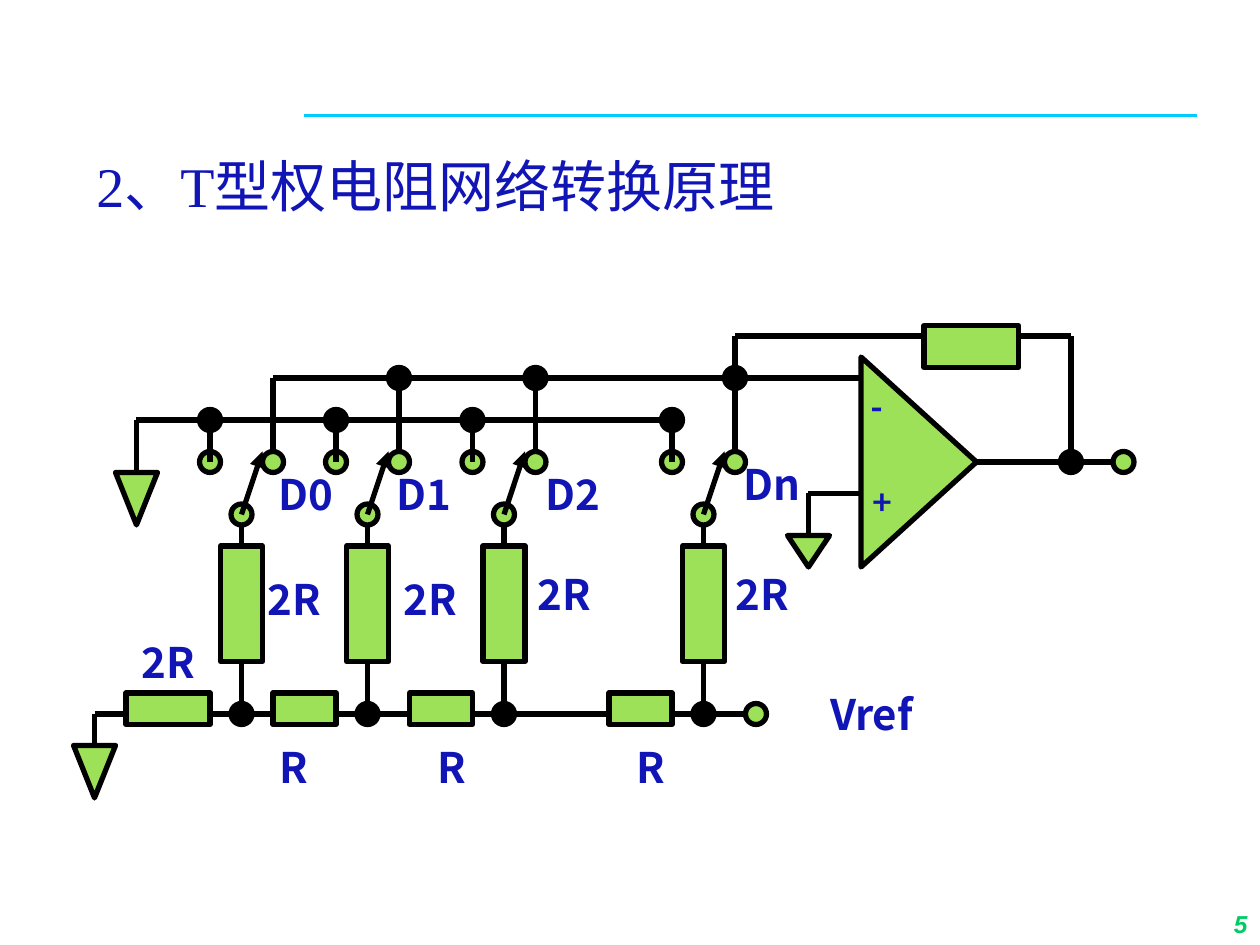
from dataclasses import dataclass

from lxml import etree
from pptx import Presentation
from pptx.dml.color import RGBColor
from pptx.enum.shapes import MSO_CONNECTOR, MSO_SHAPE
from pptx.enum.text import MSO_ANCHOR, PP_ALIGN
from pptx.oxml.ns import qn
from pptx.util import Pt

STRAIGHT = MSO_CONNECTOR.STRAIGHT
RECTANGLE = MSO_SHAPE.RECTANGLE
CIRCLE = MSO_SHAPE.FLOWCHART_CONNECTOR
GROUND = MSO_SHAPE.FLOWCHART_MERGE
AMPLIFIER = MSO_SHAPE.FLOWCHART_EXTRACT
MIDDLE, BOTTOM = MSO_ANCHOR.MIDDLE, MSO_ANCHOR.BOTTOM
LEFT, CENTER, RIGHT = PP_ALIGN.LEFT, PP_ALIGN.CENTER, PP_ALIGN.RIGHT

BLACK, GREEN, NAVY = "000000", "9CE157", "1115B5"
CYAN, PAGE_GREEN = "00CCFF", "00CC66"
CJK_FONT = "Noto Sans CJK SC"

SUM_RAIL, GROUND_RAIL, CONTACT_Y, POLE_Y, LADDER_Y = 216, 240, 264, 294, 408
CONTACT_DX, TERMINAL_RADIUS = 18, 6
BRANCH_TOP, BRANCH_BOTTOM = 312, 378
FEEDBACK_Y, OUTPUT_X = 192, 612

LABEL = {"size": Pt(24), "name": CJK_FONT, "bold": True}
SIGN = {"size": Pt(20), "name": "Lato", "bold": True}
TITLE = {"size": Pt(32), "name": "Times New Roman"}
PAGE = {"size": Pt(14), "name": "Arial", "bold": True, "italic": True}


@dataclass(frozen=True)
class Stage:
    x: float
    bit: str
    bit_left: float
    bit_top: float
    value_left: float
    value_top: float


@dataclass(frozen=True)
class Label:
    text: str
    left: float
    top: float
    width: float = 60
    height: float = 36


STAGES = [
    Stage(138, "D0", 144.7, 264.2, 138, 324),
    Stage(210, "D1", 212.4, 264.2, 216, 324),
    Stage(288, "D2", 297.4, 264.2, 292.3, 321),
    Stage(402, "Dn", 411.1, 258.5, 405.4, 321),
]
LADDER_RESISTORS = [(72, 48), (156, 36), (234, 36), (348, 36)]
LADDER_WIRES = [(54, 72), (120, 156), (192, 234), (270, 348), (384, 426)]
GROUNDS = [(78, GROUND_RAIL, 270, 270, 30),
           (54, LADDER_Y, 432, 426, 30),
           (462, 282, 306, 306, 18)]
CIRCUIT_WIRES = [
    (156, SUM_RAIL, 492, SUM_RAIL),
    (78, GROUND_RAIL, 384, GROUND_RAIL),
    (462, 282, 492, 282),
    (558, CONTACT_Y, 636, CONTACT_Y),
    (420, FEEDBACK_Y, 420, SUM_RAIL),
    (420, FEEDBACK_Y, 528, FEEDBACK_Y),
    (582, FEEDBACK_Y, OUTPUT_X, FEEDBACK_Y),
    (OUTPUT_X, FEEDBACK_Y, OUTPUT_X, CONTACT_Y),
]
LABELS = [
    Label("Vref", 462, 390, 72),
    Label("2R", 66, 360),
    Label("R", 138, 420),
    Label("R", 228, 420),
    Label("R", 342, 420),
]
SIGNS = [Label("-", 486, 216, 30, 32), Label("+", 486, 270, 36, 32)]


def color(hex_value: str) -> RGBColor:
    return RGBColor.from_string(hex_value)


def add_wire(slide, x1: float, y1: float, x2: float, y2: float,
             stroke: str = BLACK, weight: float = 3, arrow: bool = False):
    wire = slide.shapes.add_connector(STRAIGHT, Pt(x1), Pt(y1), Pt(x2), Pt(y2))
    wire.line.color.rgb = color(stroke)
    wire.line.width = Pt(weight)
    if arrow:
        etree.SubElement(wire.line._get_or_add_ln(), qn("a:tailEnd"), type="triangle")
    etree.SubElement(wire._element.spPr, qn("a:effectLst"))


def add_part(slide, kind, left: float, top: float, width: float, height: float,
             fill: str = GREEN, rotation: float = 0):
    part = slide.shapes.add_shape(kind, Pt(left), Pt(top), Pt(width), Pt(height))
    part.shadow.inherit = False
    part.rotation = rotation
    part.fill.solid()
    part.fill.fore_color.rgb = color(fill)
    part.line.color.rgb = color(BLACK)
    part.line.width = Pt(3)


def add_node(slide, x: float, y: float, fill: str = BLACK):
    add_part(slide, CIRCLE, x - TERMINAL_RADIUS, y - TERMINAL_RADIUS,
             2 * TERMINAL_RADIUS, 2 * TERMINAL_RADIUS, fill)


def add_label(slide, label: Label, font_format: dict, ink: str = NAVY,
              align=CENTER, anchor=MIDDLE, line_spacing: float = 1.0):
    box = slide.shapes.add_textbox(Pt(label.left), Pt(label.top),
                                   Pt(label.width), Pt(label.height))
    frame = box.text_frame
    frame.word_wrap = True
    frame.vertical_anchor = anchor
    paragraph = frame.paragraphs[0]
    paragraph.alignment = align
    paragraph.line_spacing = line_spacing
    run = paragraph.add_run()
    run.text = label.text
    for attribute, value in font_format.items():
        setattr(run.font, attribute, value)
    run.font.color.rgb = color(ink)
    etree.SubElement(run._r.get_or_add_rPr(), qn("a:ea"), typeface=CJK_FONT)


def add_stage(slide, stage: Stage):
    x, ground_x, sum_x = stage.x, stage.x - CONTACT_DX, stage.x + CONTACT_DX
    add_wire(slide, sum_x, SUM_RAIL, sum_x, CONTACT_Y - TERMINAL_RADIUS)
    add_part(slide, RECTANGLE, x - 12, BRANCH_TOP, 24, BRANCH_BOTTOM - BRANCH_TOP)
    for terminal in ((ground_x, CONTACT_Y), (x, POLE_Y), (sum_x, CONTACT_Y)):
        add_node(slide, *terminal, GREEN)
    add_wire(slide, x, POLE_Y, x + 12, CONTACT_Y - TERMINAL_RADIUS, arrow=True)
    add_wire(slide, ground_x, CONTACT_Y, ground_x, GROUND_RAIL)
    add_wire(slide, x, POLE_Y + TERMINAL_RADIUS, x, BRANCH_TOP)
    add_wire(slide, x, BRANCH_BOTTOM, x, LADDER_Y)
    add_node(slide, ground_x, GROUND_RAIL)
    add_node(slide, x, LADDER_Y)
    add_label(slide, Label(stage.bit, stage.bit_left, stage.bit_top), LABEL)
    add_label(slide, Label("2R", stage.value_left, stage.value_top), LABEL)


def main():
    deck = Presentation()
    deck.slide_width, deck.slide_height = Pt(720), Pt(540)
    slide = deck.slides.add_slide(deck.slide_layouts[6])

    add_wire(slide, 174, 66, 684, 66, CYAN, 2)
    add_label(slide, Label("2、T型权电阻网络转换原理", 48, 66, 594, 84), TITLE,
              align=LEFT, line_spacing=0.9)

    add_part(slide, AMPLIFIER, 465, 231, 120, 66, rotation=90)
    for wire in CIRCUIT_WIRES:
        add_wire(slide, *wire)
    for start, end in LADDER_WIRES:
        add_wire(slide, start, LADDER_Y, end, LADDER_Y)
    for left, width in LADDER_RESISTORS:
        add_part(slide, RECTANGLE, left, 396, width, 18)
    add_part(slide, RECTANGLE, 528, 186, 54, 24)
    for x, wire_top, wire_bottom, top, height in GROUNDS:
        add_wire(slide, x, wire_top, x, wire_bottom)
        add_part(slide, GROUND, x - 12, top, 24, height)

    for stage in STAGES:
        add_stage(slide, stage)
    for stage in STAGES[1:]:
        add_node(slide, stage.x + CONTACT_DX, SUM_RAIL)
    add_node(slide, OUTPUT_X, CONTACT_Y)
    add_node(slide, 642, CONTACT_Y, GREEN)
    add_node(slide, 432, LADDER_Y, GREEN)

    for label in LABELS:
        add_label(slide, label, LABEL)
    for sign in SIGNS:
        add_label(slide, sign, SIGN)
    add_label(slide, Label("5", 570, 504, 150, 36), PAGE, PAGE_GREEN, RIGHT, BOTTOM)
    deck.save("out.pptx")


if __name__ == "__main__":
    main()
